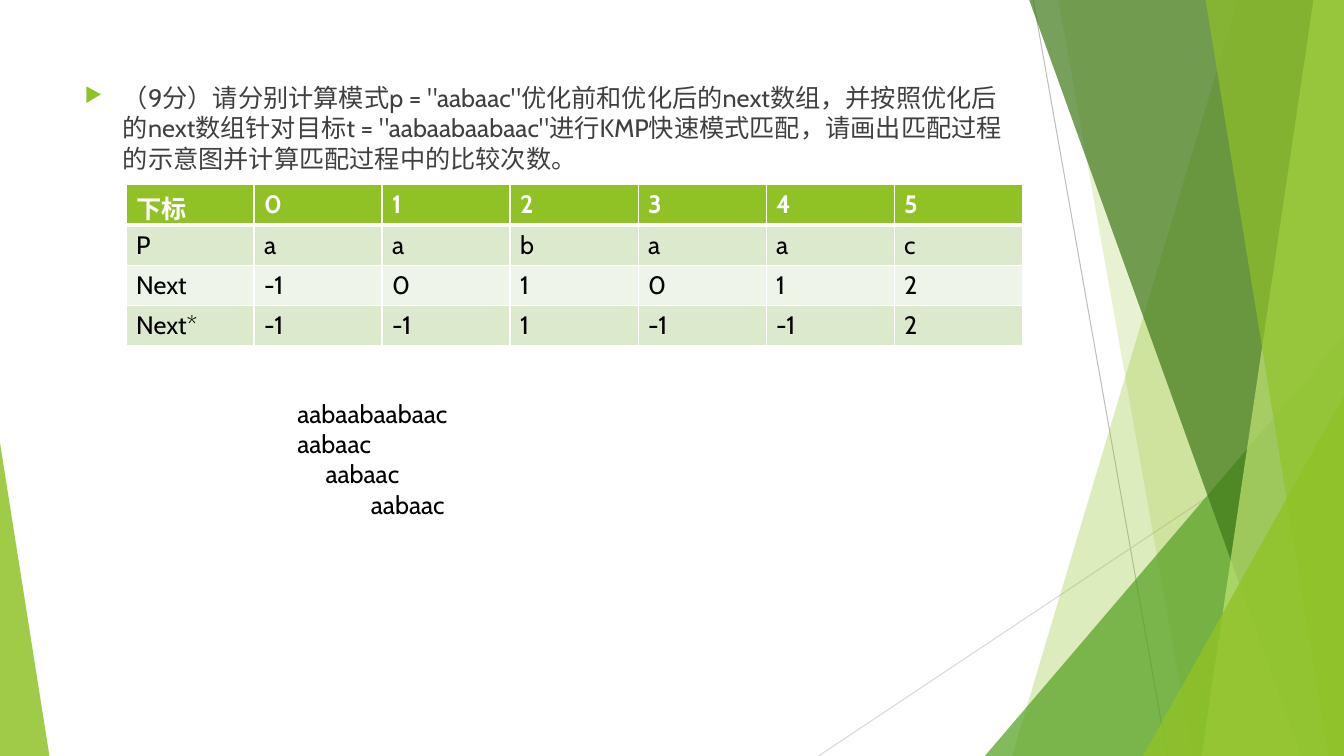
from lxml.etree import SubElement
from pptx import Presentation
from pptx.dml.color import RGBColor
from pptx.enum.shapes import MSO_CONNECTOR, MSO_SHAPE
from pptx.oxml.ns import qn
from pptx.util import Inches, Pt

LIME = RGBColor(0x90, 0xC2, 0x26)
PALE_LIME = RGBColor(0xC0, 0xE4, 0x74)
GREEN = RGBColor(0x54, 0xA0, 0x21)
DARK_GREEN = RGBColor(0x3F, 0x78, 0x19)
BAND = RGBColor(0xDB, 0xE9, 0xCD)
LIGHT_BAND = RGBColor(0xEE, 0xF4, 0xE8)
GREY = RGBColor(0xBF, 0xBF, 0xBF)
LIGHT_GREY = RGBColor(0xD9, 0xD9, 0xD9)
INK = RGBColor(0x40, 0x40, 0x40)
BLACK = RGBColor(0, 0, 0)
WHITE = RGBColor(0xFF, 0xFF, 0xFF)
FONT = "Cabin"

QUESTION = ('（9分）请分别计算模式p = "aabaac"优化前和优化后的next数组，并按照优化后的next数组'
            '针对目标t = "aabaabaabaac"进行KMP快速模式匹配，请画出匹配过程的示意图并计算匹配过程中的比较次数。')
NEXT_ROWS = [
    ["下标", "0", "1", "2", "3", "4", "5"],
    ["P", "a", "a", "b", "a", "a", "c"],
    ["Next", "-1", "0", "1", "0", "1", "2"],
    ["Next*", "-1", "-1", "1", "-1", "-1", "2"],
]
# Text and shift in inches
MATCH_STEPS = [("aabaabaabaac", 0), ("aabaac", 0), ("aabaac", 0.28), ("aabaac", 0.73)]

# Backdrop, in percent of the slide: lines from and to
LINES = [((76.88, 0), (86.85, 100), GREY), ((100, 53.73), (60.9, 100), LIGHT_GREY)]
# Facets reaching the right edge: x at top, x at bottom, colour, opacity
BACK_FACETS = [(92.1, 75.3, LIME, 30), (78.75, 88.73, LIME, 20)]
FRONT_FACETS = [(76.58, 96.83, DARK_GREEN, 70), (89.4 + 8.33, 89.4, PALE_LIME, 70),
                (89.7, 98.85, LIME, 65)]


def style_font(p, color, bold=False):
    for r in p.runs:
        r.font.name, r.font.size = FONT, Pt(18)
        r.font.bold, r.font.color.rgb = bold, color


def paint(sp, color, opacity):
    sp.shadow.inherit = False
    sp.line.fill.background()
    sp.fill.solid()
    sp.fill.fore_color.rgb = color
    clr = sp.fill._xPr.find(qn("a:solidFill"))[0]
    SubElement(clr, qn("a:alpha")).set("val", str(opacity * 1000))


def add_backdrop(s, width, height):
    def at(x, y):
        return int(width * x / 100), int(height * y / 100)

    def facet(top, bottom, color, opacity):
        builder = s.shapes.build_freeform(*at(top, 0))
        builder.add_line_segments([at(100, 0), at(100, 100), at(bottom, 100)])
        paint(builder.convert_to_shape(), color, opacity)

    def corner(left, top, right, apex, color, opacity):
        sp = s.shapes.add_shape(MSO_SHAPE.ISOSCELES_TRIANGLE, *at(left, top),
                                *at(right - left, 100 - top))
        sp.adjustments[0] = apex
        paint(sp, color, opacity)

    for start, end, color in LINES:
        line = s.shapes.add_connector(MSO_CONNECTOR.STRAIGHT, *at(*start), *at(*end))
        line.line.color.rgb, line.line.width = color, Pt(0.75)
        SubElement(line._element.spPr, qn("a:effectLst"))
    for spec_row in BACK_FACETS:
        facet(*spec_row)
    corner(73.28, 44.4, 100, 1, GREEN, 72)
    for spec_row in FRONT_FACETS:
        facet(*spec_row)
    corner(85.05, 52.4, 100, 1, LIME, 80)
    corner(0, 58.53, 3.68, 0, LIME, 85)


def add_question(s, x, y, w, h):
    tf = s.shapes.add_textbox(x, y, w, h).text_frame
    tf.word_wrap = True
    p = tf.paragraphs[0]
    p.text = QUESTION
    pPr = p._p.get_or_add_pPr()
    pPr.set("marL", str(Inches(0.38)))
    pPr.set("indent", str(-Inches(0.38)))
    SubElement(SubElement(pPr, qn("a:buClr")), qn("a:srgbClr")).set("val", str(LIME))
    SubElement(pPr, qn("a:buSzPct")).set("val", "80000")
    SubElement(pPr, qn("a:buChar")).set("char", "▶")
    style_font(p, INK)


def add_borders(cell, bottom):
    tcPr = cell._tc.get_or_add_tcPr()
    for side, width in (("L", 1), ("R", 1), ("T", 1), ("B", bottom)):
        ln = SubElement(tcPr, qn(f"a:ln{side}"))
        ln.set("w", str(Pt(width)))
        SubElement(SubElement(ln, qn("a:solidFill")), qn("a:srgbClr")).set("val", str(WHITE))


def add_next_table(s, x, y, w, h):
    rows, cols = len(NEXT_ROWS), len(NEXT_ROWS[0])
    table = s.shapes.add_table(rows, cols, x, y, w, h).table
    for i, values in enumerate(NEXT_ROWS):
        header = i == 0
        for j, value in enumerate(values):
            cell = table.cell(i, j)
            cell.text = value
            style_font(cell.text_frame.paragraphs[0], WHITE if header else BLACK, header)
            # The rule under the header is heavier on both sides of the edge
            add_borders(cell, 3 if header else 1)
            if i == 1:
                cell._tc.tcPr.find(qn("a:lnT")).set("w", str(Pt(3)))
            cell.fill.solid()
            cell.fill.fore_color.rgb = LIME if header else BAND if i % 2 else LIGHT_BAND


def add_matching(s, x, y, w, h):
    tf = s.shapes.add_textbox(x, y, w, h).text_frame
    tf.word_wrap = True
    for i, (text, shift) in enumerate(MATCH_STEPS):
        p = tf.add_paragraph() if i else tf.paragraphs[0]
        p.text = text
        p._p.get_or_add_pPr().set("marL", str(Inches(shift)))
        style_font(p, BLACK)


def main():
    prs = Presentation()
    prs.slide_width, prs.slide_height = Inches(13.33), Inches(7.5)
    s = prs.slides.add_slide(prs.slide_layouts[6])
    add_backdrop(s, prs.slide_width, prs.slide_height)
    add_question(s, Inches(0.74), Inches(0.77), Inches(9.4), Inches(5.84))
    add_next_table(s, Inches(1.25), Inches(1.83), Inches(8.89), Inches(1.6))
    add_matching(s, Inches(2.85), Inches(3.9), Inches(5.55), Inches(1.31))
    prs.save("out.pptx")


if __name__ == "__main__":
    main()
